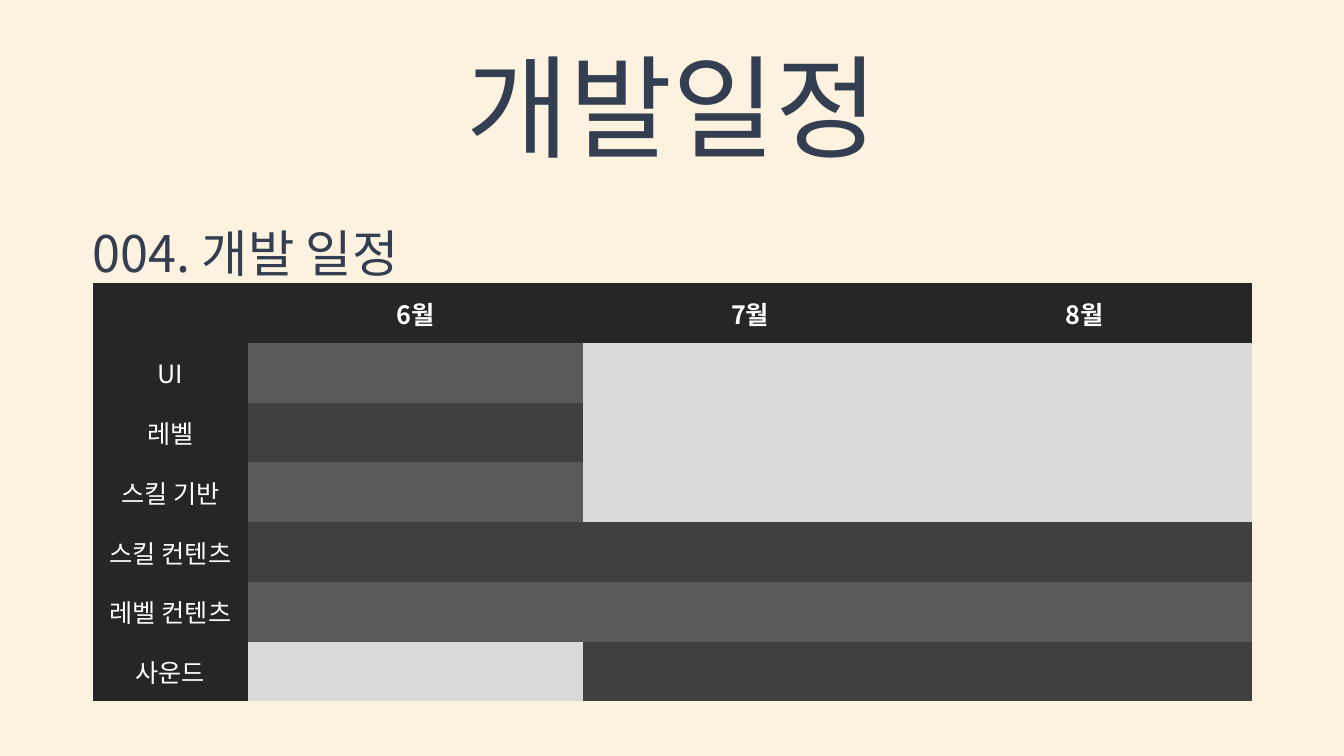
import pptx
import pptx.dml.color
import pptx.enum.text
import pptx.oxml.ns
import pptx.util
from lxml import etree
from pptx.util import Inches

FONT = "Noto Sans CJK KR"
NAVY, WHITE = "333F50", "FFFFFF"
HEADER, IDLE = "262626", "D9D9D9"
ACTIVE_SHADES = ["595959", "404040"]
NO_STYLE_NO_GRID = "{2D5ABB26-0587-4C30-8999-92F81FD0307C}"
CENTER = pptx.enum.text.PP_ALIGN.CENTER
MIDDLE = pptx.enum.text.MSO_ANCHOR.MIDDLE


def rgb(hex_color):
    return pptx.dml.color.RGBColor.from_string(hex_color)


def write(text_frame, text, size, color, bold=False):
    """Set one line of text, with the font for both Latin and Korean letters."""
    text_frame.text = text
    paragraph = text_frame.paragraphs[0]
    font = paragraph.runs[0].font
    font.name = FONT
    font.size = pptx.util.Pt(size)
    font.bold = bold
    font.color.rgb = rgb(color)
    latin = font._element.find(pptx.oxml.ns.qn("a:latin"))
    east_asian = etree.Element(pptx.oxml.ns.qn("a:ea"), typeface=FONT)
    latin.addnext(east_asian)
    return paragraph


prs = pptx.Presentation()
prs.slide_width, prs.slide_height = Inches(13.33), Inches(7.5)
slide = prs.slides.add_slide(prs.slide_layouts[6])
slide.background.fill.solid()
slide.background.fill.fore_color.rgb = rgb("FDF2DF")

title = slide.shapes.add_textbox(Inches(0.92), Inches(0.4), Inches(11.5), Inches(1.45)).text_frame
title.word_wrap = True
title.vertical_anchor = MIDDLE
title_line = write(title, "개발일정", 80, NAVY)
title_line.alignment = CENTER
title_line.line_spacing = 0.9

section = slide.shapes.add_textbox(Inches(0.82), Inches(1.85), Inches(11.7), Inches(1.64)).text_frame
section.word_wrap = True
write(section, "004. 개발 일정", 36, NAVY).line_spacing = 1.5

months = ["6월", "7월", "8월"]
tasks = [
    ("UI", ["6월"]),
    ("레벨", ["6월"]),
    ("스킬 기반", ["6월"]),
    ("스킬 컨텐츠", months),
    ("레벨 컨텐츠", months),
    ("사운드", ["7월", "8월"]),
]

schedule = slide.shapes.add_table(
    len(tasks) + 1, len(months) + 1, Inches(0.92), Inches(2.81), Inches(11.5), Inches(4.15)
).table
schedule.first_row = schedule.horz_banding = False
schedule._tbl.tblPr.find(pptx.oxml.ns.qn("a:tableStyleId")).text = NO_STYLE_NO_GRID
for column, width in zip(schedule.columns, [1.54, 3.32, 3.32, 3.32]):
    column.width = Inches(width)

for row, (task, active_months) in enumerate([("", [])] + tasks):
    for col, month in enumerate([""] + months):
        cell = schedule.cell(row, col)
        cell.vertical_anchor = MIDDLE
        if row == 0 or col == 0:
            fill = HEADER
            label = month if row == 0 else task
            if label:
                write(cell.text_frame, label, 18, WHITE, bold=row == 0).alignment = CENTER
        elif month in active_months:
            fill = ACTIVE_SHADES[(row - 1) % 2]
        else:
            fill = IDLE
        cell.fill.solid()
        cell.fill.fore_color.rgb = rgb(fill)

prs.save("out.pptx")
